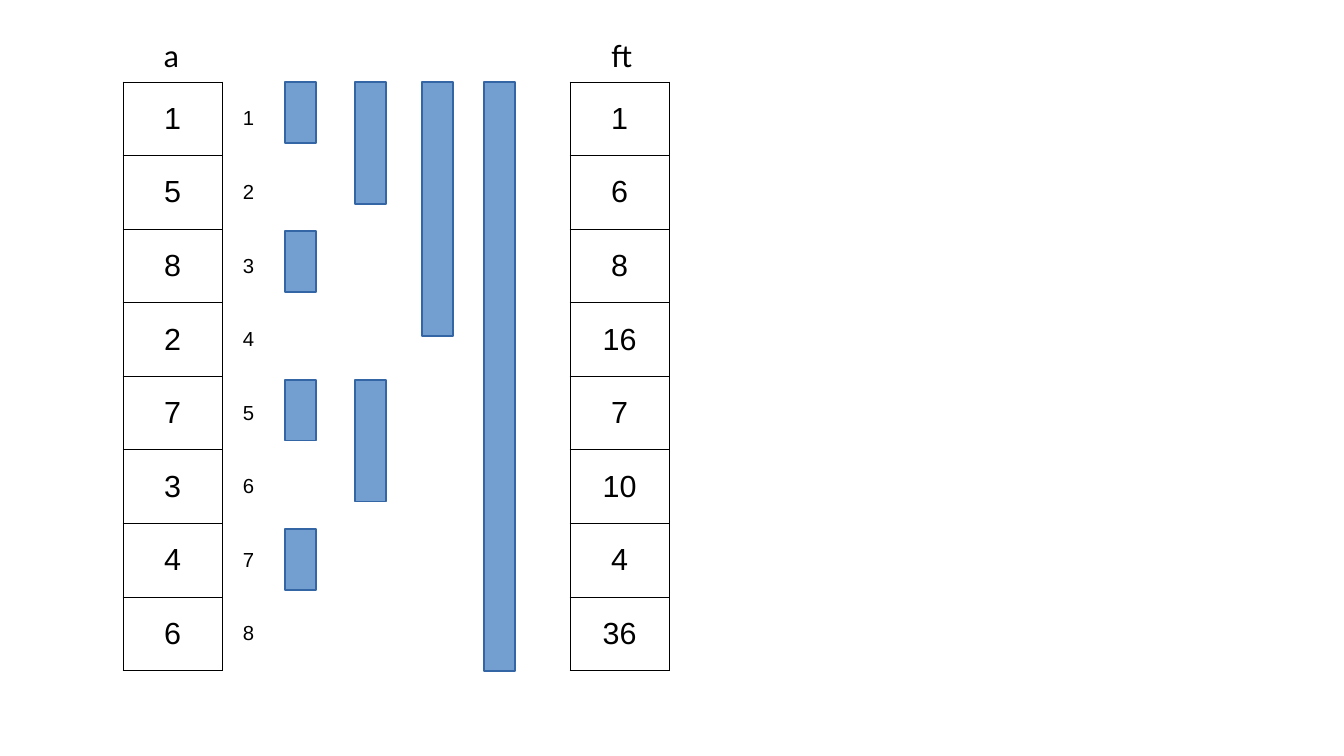
from pptx import Presentation
from pptx.dml.color import RGBColor
from pptx.enum.shapes import MSO_SHAPE
from pptx.enum.text import MSO_ANCHOR, MSO_AUTO_SIZE, PP_ALIGN
from pptx.oxml.ns import qn
from pptx.util import Pt
from lxml import etree

RECTANGLE = MSO_SHAPE.RECTANGLE
MIDDLE = MSO_ANCHOR.MIDDLE
CENTER = PP_ALIGN.CENTER
FIT_SHAPE = MSO_AUTO_SIZE.SHAPE_TO_FIT_TEXT

SCALE = 914400 / 122  # EMU per px
THEME = {
    "text": RGBColor.from_string("000000"),
    "border": "000000",
    "bar_fill": RGBColor.from_string("729FCF"),
    "bar_line": RGBColor.from_string("3465A4"),
    "cell_font": "Arial",
    "label_font": "Lato",
    "value_size": Pt(18),
    "index_size": Pt(12),
    "border_width": Pt(0.57),
}

TOP, COLUMN_WIDTH, COLUMN_HEIGHT = 82, 99, 589
BAR_WIDTH, BAR_STEP = 31, 149


def px(length):
    return round(length * SCALE)


def add_column(slide, left, values, size, bordered):
    shape = slide.shapes.add_table(len(values), 1, px(left), px(TOP),
                                   px(COLUMN_WIDTH), px(COLUMN_HEIGHT))
    table = shape.table
    table.first_row = table.horz_banding = False
    for row, value in enumerate(values):
        cell = table.cell(row, 0)
        cell.text = str(value)
        cell.vertical_anchor = MIDDLE
        cell.margin_left = cell.margin_right = px(5)
        cell.margin_top = cell.margin_bottom = px(6)
        paragraph = cell.text_frame.paragraphs[0]
        paragraph.alignment = CENTER
        paragraph.font.name = THEME["cell_font"]
        paragraph.font.size = size
        paragraph.font.color.rgb = THEME["text"]
        properties = cell._tc.get_or_add_tcPr()
        for side in ("a:lnL", "a:lnR", "a:lnT", "a:lnB"):
            line = etree.SubElement(properties, qn(side), w=str(THEME["border_width"]))
            if bordered:
                fill = etree.SubElement(line, qn("a:solidFill"))
                etree.SubElement(fill, qn("a:srgbClr"), val=THEME["border"])
            else:
                etree.SubElement(line, qn("a:noFill"))
        cell.fill.background()


presentation = Presentation()
presentation.slide_width = px(1344)
presentation.slide_height = px(756)
slide = presentation.slides.add_slide(presentation.slide_layouts[6])

# Array, its indices and the Fenwick tree
array = [1, 5, 8, 2, 7, 3, 4, 6]
tree = [1, 6, 8, 16, 7, 10, 4, 36]
add_column(slide, 123, array, THEME["value_size"], True)
add_column(slide, 199, range(1, 9), THEME["index_size"], False)
add_column(slide, 570, tree, THEME["value_size"], True)

# Column labels
for label, left, width in (("a", 152, 41), ("ft", 599, 45)):
    box = slide.shapes.add_textbox(px(left), px(31), px(width), px(54))
    box.text_frame.word_wrap = False
    box.text_frame.auto_size = FIT_SHAPE
    paragraph = box.text_frame.paragraphs[0]
    paragraph.text = label
    paragraph.font.name = THEME["label_font"]
    paragraph.font.size = THEME["value_size"]
    paragraph.font.color.rgb = THEME["text"]

# Bars for the range each tree entry sums: left, height, start steps
bar_levels = (
    (285, 61, (0, 1, 2, 3)),
    (355, 122, (0, 2)),
    (422, 254, (0,)),
    (484, COLUMN_HEIGHT, (0,)),
)
for left, height, starts in bar_levels:
    for start in starts:
        bar = slide.shapes.add_shape(RECTANGLE, px(left), px(TOP + start * BAR_STEP),
                                     px(BAR_WIDTH), px(height))
        bar.shadow.inherit = False
        bar.fill.solid()
        bar.fill.fore_color.rgb = THEME["bar_fill"]
        bar.line.color.rgb = THEME["bar_line"]
        bar.line.width = Pt(0)

presentation.save("out.pptx")
